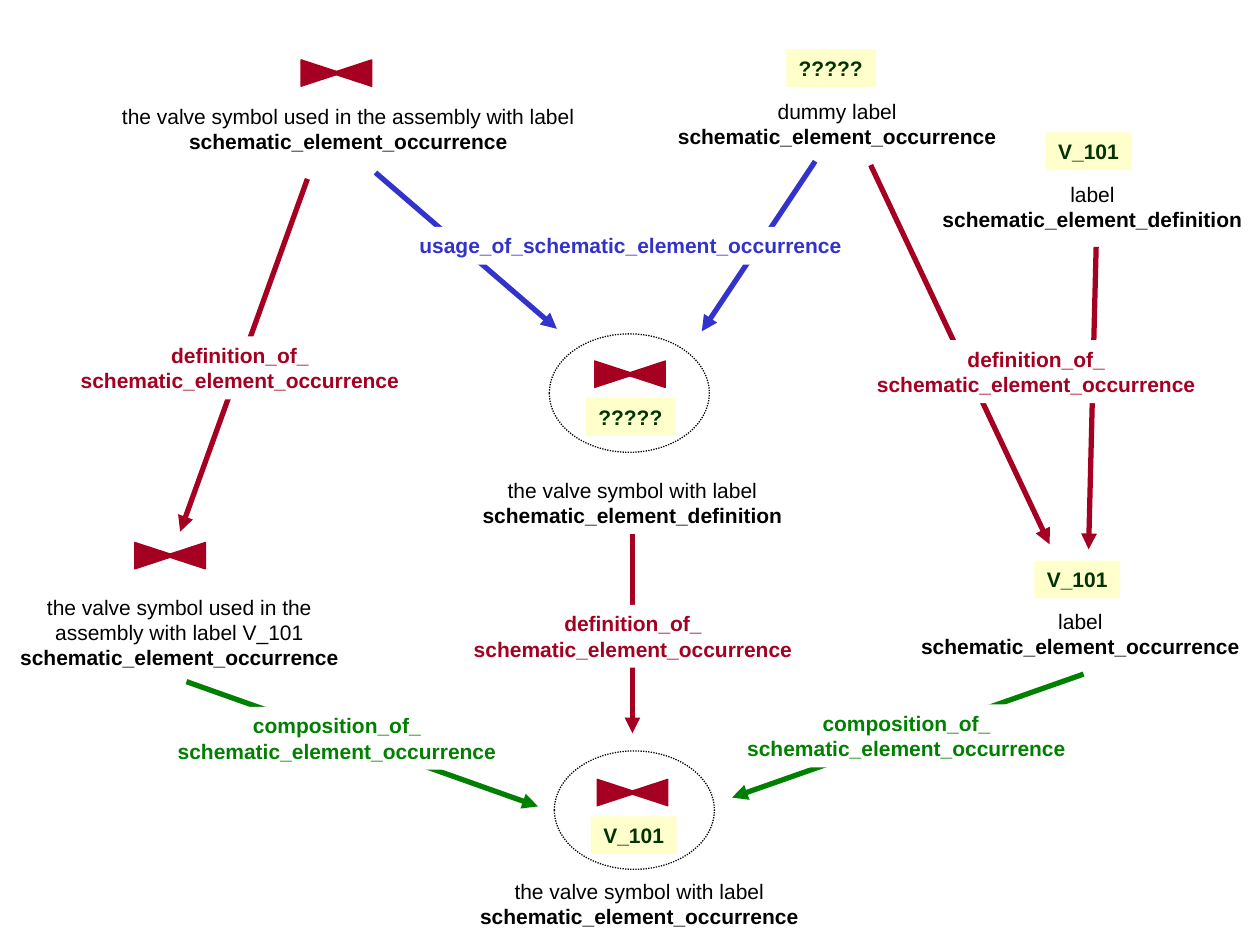
from lxml import etree
from pptx import Presentation
from pptx.dml.color import RGBColor
from pptx.enum import dml, shapes, text
from pptx.oxml.ns import qn
from pptx.util import Inches, Pt

RED, BLUE, GREEN = "A50021", "3333CC", "008000"
BLACK, WHITE, TAG_FILL, TAG_TEXT = "000000", "FFFFFF", "FFFFCC", "003300"
OCCURRENCE = "schematic_element_occurrence"
DEFINITION = "schematic_element_definition"
BOX_WIDTH = {OCCURRENCE: 2.73, DEFINITION: 2.58}
TAG_WIDTH = {"?????": 0.71, "V_101": 0.68}

# Arrows: start, end, colour
ARROWS = [
    ((2.98, 1.37), (4.42, 2.61), BLUE),
    ((6.47, 1.28), (5.57, 2.63), BLUE),
    ((5.02, 4.24), (5.02, 5.82), RED),
    ((2.44, 1.42), (1.43, 4.22), RED),
    ((6.91, 1.31), (8.33, 4.32), RED),
    ((8.70, 1.96), (8.64, 4.36), RED),
    ((1.48, 5.41), (4.27, 6.40), GREEN),
    ((8.60, 5.35), (5.81, 6.33), GREEN),
]

# Captions: left, top, plain lines, bold entity name
CAPTIONS = [
    (5.28, 0.73, ["dummy label"], OCCURRENCE),
    (3.73, 3.74, ["the valve symbol with label"], DEFINITION),
    (3.71, 6.92, ["the valve symbol with label"], OCCURRENCE),
    (0.06, 4.67, ["the valve symbol used in the", "assembly with label V_101"], OCCURRENCE),
    (7.21, 4.78, ["label"], OCCURRENCE),
    (7.38, 1.39, ["label"], DEFINITION),
]
# The longest line needs a little spare width to stay on one line
WIDE_CAPTION = (0.82, 0.77, 3.89, "the valve symbol used in the assembly with label")

# Relation names on the arrows: left, top, first line, colour
RELATIONS = [
    (0.54, 2.67, "definition_of_", RED),
    (6.86, 2.70, "definition_of_", RED),
    (3.66, 4.80, "definition_of_", RED),
    (1.31, 5.61, "composition_of_", GREEN),
    (5.83, 5.59, "composition_of_", GREEN),
]
USAGE = (3.23, 1.80, 3.55, "usage_of_schematic_element_occurrence")

# Symbols: centres of valves, left and top of tags
VALVES = [(2.67, 0.58), (1.35, 4.41)]
TAGS = [(6.24, 0.39, "?????"), (8.30, 1.05, "V_101"), (8.21, 4.45, "V_101")]
# Assemblies: ellipse corner, valve centre, tag
ASSEMBLIES = [
    ((4.36, 2.65), (5.00, 2.97), (4.65, 3.16, "?????")),
    ((4.40, 5.96), (5.02, 6.29), (4.69, 6.48, "V_101")),
]


def color(value):
    return RGBColor.from_string(value)


def add_shape(parent, kind, left, top, width, height, fill=None):
    shape = parent.add_shape(kind, *map(Inches, (left, top, width, height)))
    shape.shadow.inherit = False
    shape.line.fill.background()
    if fill:
        shape.fill.solid()
        shape.fill.fore_color.rgb = color(fill)
    else:
        shape.fill.background()
    return shape


def add_text(parent, left, top, width, lines, tint, fill=None, align="CENTER"):
    """Each line is a (words, bold) pair."""
    height = 0.1 + 0.2 * len(lines)
    if fill:
        box = add_shape(parent, shapes.MSO_SHAPE.RECTANGLE, left, top, width, height, fill)
    else:
        box = parent.add_textbox(*map(Inches, (left, top, width, height)))
    frame = box.text_frame
    layout = {"word_wrap": False, "auto_size": text.MSO_AUTO_SIZE.SHAPE_TO_FIT_TEXT,
              "vertical_anchor": text.MSO_ANCHOR.TOP}
    for name, value in layout.items():
        setattr(frame, name, value)
    for index, (words, bold) in enumerate(lines):
        para = frame.add_paragraph() if index else frame.paragraphs[0]
        para.alignment = getattr(text.PP_ALIGN, align)
        span = para.add_run()
        span.text = words
        for name, value in {"name": "Arial", "size": Pt(12), "bold": bold}.items():
            setattr(span.font, name, value)
        span.font.color.rgb = color(tint)


def add_arrow(parent, start, end, tint):
    arrow = parent.add_connector(shapes.MSO_CONNECTOR.STRAIGHT, *map(Inches, start + end))
    arrow.line.width = Pt(3)
    arrow.line.color.rgb = color(tint)
    etree.SubElement(arrow.line._get_or_add_ln(), qn("a:tailEnd"), type="triangle")
    etree.SubElement(arrow._element.spPr, qn("a:effectLst"))


def add_valve(parent, center_x, center_y):
    group = parent.add_group_shape()
    width, height = 0.21, 0.32
    for offset, angle in ((0.12, 270), (-0.12, 90)):
        half = add_shape(group.shapes, shapes.MSO_SHAPE.ISOSCELES_TRIANGLE,
                         center_x + offset - width / 2, center_y - height / 2,
                         width, height, RED)
        half.rotation = angle
        half.line.color.rgb = color(RED)
        half.line.width = Pt(0.75)


def add_tag(parent, left, top, words):
    add_text(parent, left, top, TAG_WIDTH[words], [(words, True)], TAG_TEXT, TAG_FILL, "LEFT")


def add_assembly(parent, corner, valve, tag):
    group = parent.add_group_shape().shapes
    ring = add_shape(group, shapes.MSO_SHAPE.OVAL, *corner, 1.27, 0.94)
    ring.line.color.rgb = color(BLACK)
    ring.line.width = Pt(0.75)
    ring.line.dash_style = dml.MSO_LINE.ROUND_DOT
    add_tag(group, *tag)
    add_valve(group, *valve)


def main():
    deck = Presentation()
    deck.slide_width, deck.slide_height = Inches(10), Inches(7.5)
    page = deck.slides.add_slide(deck.slide_layouts[6]).shapes

    # Arrows lie under the relation names
    for arrow in ARROWS:
        add_arrow(page, *arrow)
    for left, top, words, tint in RELATIONS:
        add_text(page, left, top, BOX_WIDTH[OCCURRENCE],
                 [(words, True), (OCCURRENCE, True)], tint, WHITE)
    left, top, width, words = USAGE
    add_text(page, left, top, width, [(words, True)], BLUE, WHITE, "LEFT")

    # Captions
    left, top, width, words = WIDE_CAPTION
    add_text(page, left, top, width, [(words, False), (OCCURRENCE, True)], BLACK)
    for left, top, plain, entity in CAPTIONS:
        lines = [(words, False) for words in plain] + [(entity, True)]
        add_text(page, left, top, BOX_WIDTH[entity], lines, BLACK)

    # Symbols
    for valve in VALVES:
        add_valve(page, *valve)
    for tag in TAGS:
        add_tag(page, *tag)
    for assembly in ASSEMBLIES:
        add_assembly(page, *assembly)

    deck.save("out.pptx")


if __name__ == "__main__":
    main()
